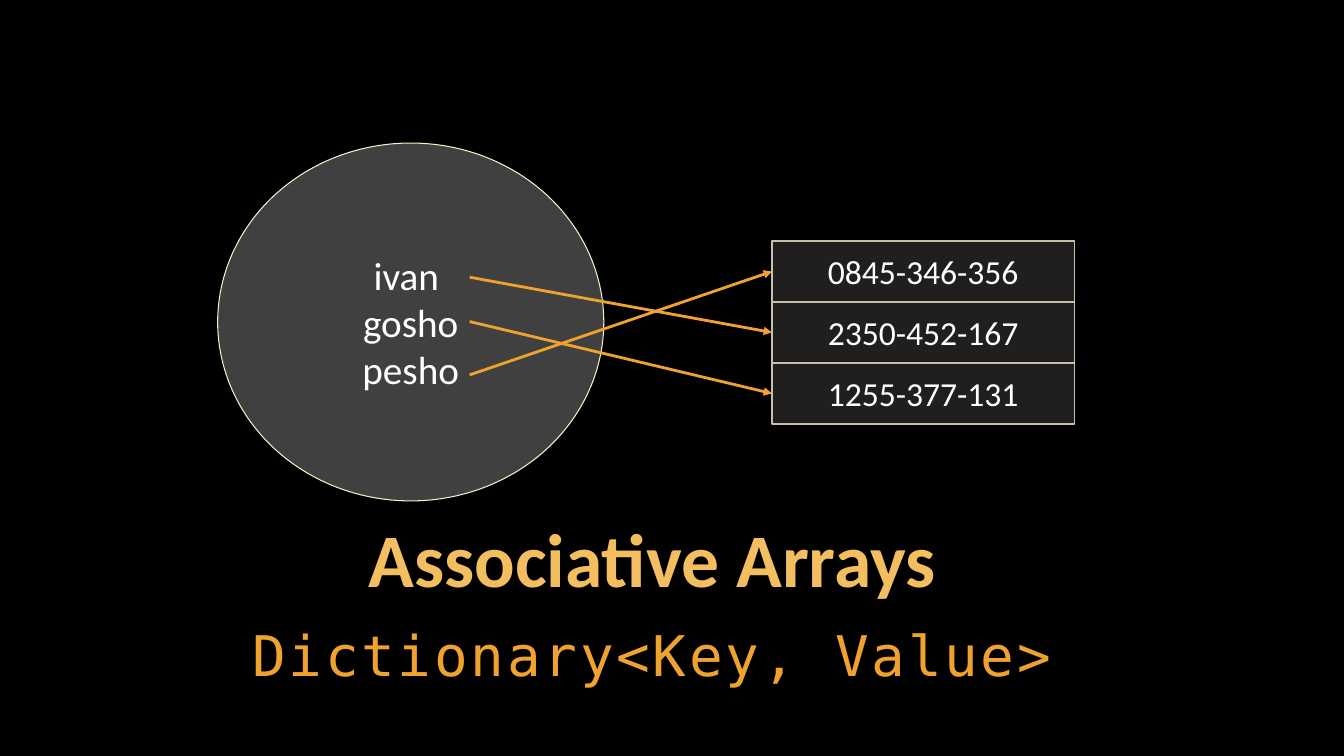
from lxml import etree
from pptx import Presentation
from pptx import util as u
from pptx.dml import color
from pptx.enum import shapes, text
from pptx.oxml import ns

ORANGE = "F0A22E"
WHITE = "FFFFFF"
ROW_LEFT, ROW_TOP, ROW_WIDTH, ROW_HEIGHT = 551.5, 172.1, 216, 43.6


def rgb(value):
    return color.RGBColor.from_string(value)


def place(box, left, top, width, height):
    box.left, box.top = u.Pt(left), u.Pt(top)
    box.width, box.height = u.Pt(width), u.Pt(height)


def set_margins(frame, side, edge):
    frame.margin_left = frame.margin_right = u.Pt(side)
    frame.margin_top = frame.margin_bottom = u.Pt(edge)


def write(para, words, size, font, ink, bold=False):
    para.alignment = text.PP_ALIGN.CENTER
    span = para.add_run()
    span.text = words
    span.font.size = u.Pt(size)
    span.font.name = font
    span.font.bold = bold
    span.font.color.rgb = rgb(ink)
    return span


def fill_placeholder(box, area, anchor, words, size, font, ink, bold=False):
    place(box, *area)
    frame = box.text_frame
    frame.word_wrap = True
    frame.auto_size = text.MSO_AUTO_SIZE.NONE
    frame.vertical_anchor = anchor
    set_margins(frame, 2.88, 2.88)
    para = frame.paragraphs[0]
    para.space_before = u.Pt(0)
    return para, write(para, words, size, font, ink, bold)


def add_title(page):
    para, _ = fill_placeholder(
        page.shapes.title, (113.8, 372.2, 704.2, 61.2), text.MSO_ANCHOR.BOTTOM,
        "Associative Arrays", 54, "Calibri", "F3BE60", True)
    para.line_spacing = u.Pt(54)


def add_subtitle(page):
    para, span = fill_placeholder(
        page.placeholders[1], (113.8, 437.8, 704.2, 54), text.MSO_ANCHOR.TOP,
        "Dictionary<Key, Value>", 40, "DejaVu Sans Mono", ORANGE)
    para.line_spacing = 1.05
    para.space_after = u.Pt(6)
    props = para._p.get_or_add_pPr()
    props.set("marL", "0")
    props.set("indent", "0")
    etree.SubElement(props, ns.qn("a:buNone"))
    span._r.get_or_add_rPr().set("spc", "200")


def add_box(page, kind, area, fill, opacity, edge, weight, lines, size):
    box = page.shapes.add_shape(kind, *[u.Pt(length) for length in area])
    box.shadow.inherit = False
    box.fill.solid()
    box.fill.fore_color.rgb = rgb(fill)
    tint = box._element.spPr.find(".//" + ns.qn("a:srgbClr"))
    etree.SubElement(tint, ns.qn("a:alpha")).set("val", str(opacity * 1000))
    box.line.color.rgb = rgb(edge)
    box.line.width = u.Pt(weight)
    frame = box.text_frame
    frame.word_wrap = True
    frame.vertical_anchor = text.MSO_ANCHOR.MIDDLE
    for index, words in enumerate(lines):
        para = frame.add_paragraph() if index else frame.paragraphs[0]
        write(para, words, size, "Calibri", WHITE)
    return box


def add_arrow(page, start, end):
    arrow = page.shapes.add_connector(
        shapes.MSO_CONNECTOR.STRAIGHT, *[u.Pt(length) for length in start + end])
    arrow.line.color.rgb = rgb(ORANGE)
    arrow.line.width = u.Pt(2)
    head = etree.SubElement(arrow.line._get_or_add_ln(), ns.qn("a:tailEnd"))
    head.set("type", "triangle")
    etree.SubElement(arrow._element.spPr, ns.qn("a:effectLst"))


def add_phone(page, row, number):
    area = (ROW_LEFT, ROW_TOP + row * ROW_HEIGHT, ROW_WIDTH, ROW_HEIGHT)
    box = add_box(page, shapes.MSO_SHAPE.RECTANGLE, area,
                  "D9D5C7", 15, "C7BFAC", 1, [number], 24)
    box.text_frame.vertical_anchor = text.MSO_ANCHOR.TOP
    set_margins(box.text_frame, 14.4, 7.2)


def main():
    deck = Presentation()
    deck.slide_width, deck.slide_height = u.Pt(960), u.Pt(540)
    page = deck.slides.add_slide(deck.slide_layouts[1])
    page.background.fill.solid()
    page.background.fill.fore_color.rgb = rgb("000000")
    add_title(page)
    add_subtitle(page)
    add_box(page, shapes.MSO_SHAPE.OVAL, (155.5, 102.2, 275.8, 255.6),
            "808080", 50, "FBEEC9", 0.75, ["ivan ", "gosho", "pesho"], 28)
    for key_y, row in ((198, 1), (229.7, 2), (267.8, 0)):
        row_middle = ROW_TOP + (row + 0.5) * ROW_HEIGHT
        add_arrow(page, (335.5, key_y), (ROW_LEFT, row_middle))
    for row, number in enumerate(("0845-346-356", "2350-452-167", "1255-377-131")):
        add_phone(page, row, number)
    deck.save("out.pptx")


if __name__ == "__main__":
    main()
